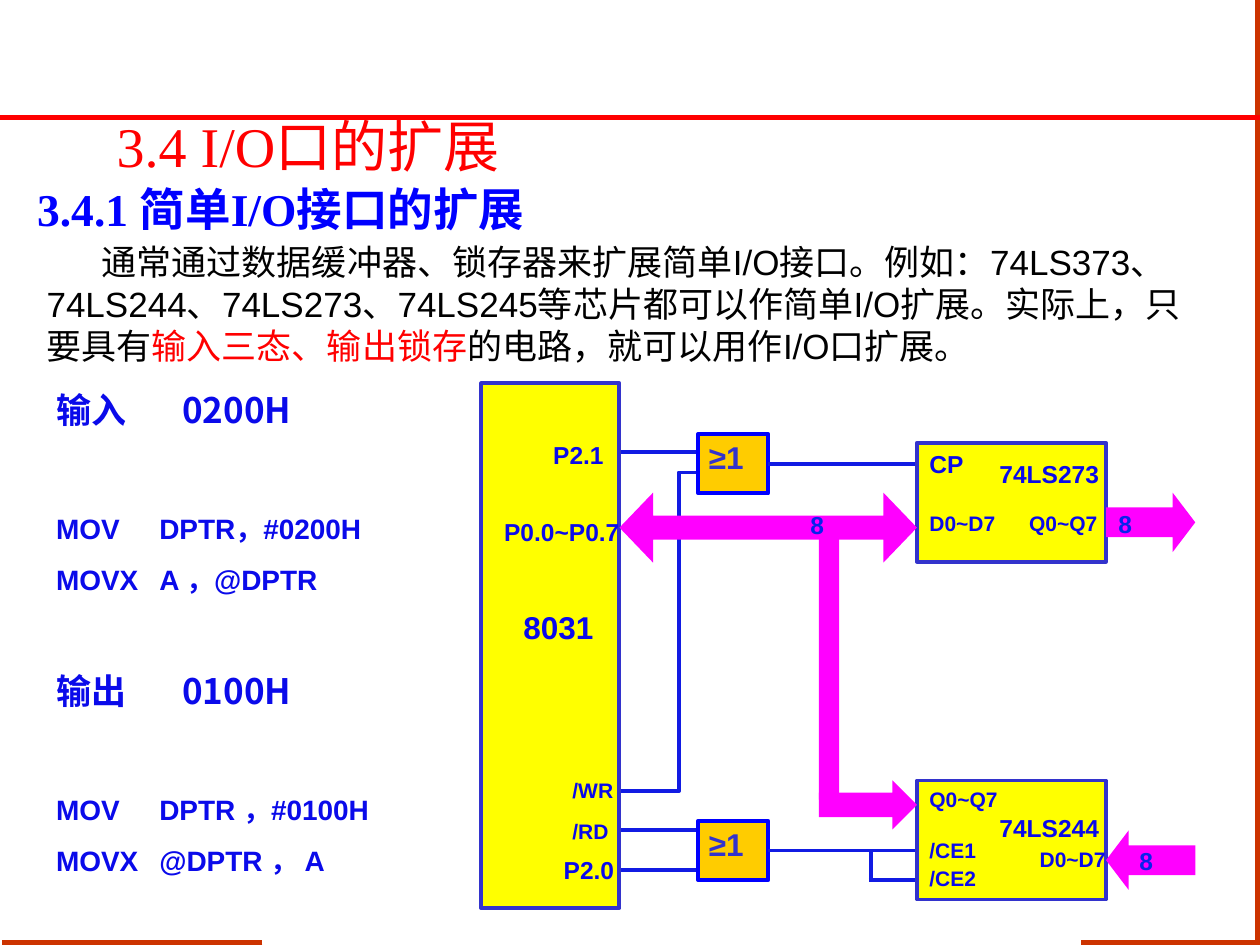
from dataclasses import dataclass

from lxml.etree import SubElement
from pptx import Presentation
from pptx.dml.color import RGBColor
from pptx.enum.shapes import MSO_CONNECTOR, MSO_SHAPE
from pptx.enum.text import MSO_ANCHOR, MSO_AUTO_SIZE, PP_ALIGN
from pptx.oxml.ns import qn
from pptx.util import Pt


@dataclass(frozen=True)
class Theme:
    red: str = "FF0000"
    rust: str = "CC3300"
    head: str = "0000FF"
    text: str = "000000"
    label: str = "0A0AEA"
    count: str = "0722ED"
    wire: str = "111BE3"
    edge: str = "3333CC"
    chip: str = "FFFF00"
    gate: str = "FFCC00"
    bus: str = "FF00FF"
    sans: str = "Arial"
    serif: str = "Times New Roman"
    cjk: str = "Noto Sans CJK SC"
    title: int = 32
    sub: int = 26
    body: int = 20
    code: int = 16
    name: int = 18
    pin: int = 14
    small: int = 12
    rule: float = 3
    thin: float = 2.25


T = Theme()


def rgb(color):
    return RGBColor.from_string(color)


def style(item, size, color, face=T.sans, bold=False):
    font = item.font
    font.size, font.name, font.bold = Pt(size), face, bold
    font.color.rgb = rgb(color)


def place(shape, box):
    shape.left, shape.top, shape.width, shape.height = map(Pt, box)


def line(slide, x1, y1, x2, y2, color=T.wire, width=T.thin):
    wire = slide.shapes.add_connector(
        MSO_CONNECTOR.STRAIGHT, Pt(x1), Pt(y1), Pt(x2), Pt(y2))
    wire.line.color.rgb = rgb(color)
    wire.line.width = Pt(width)
    SubElement(wire._element.spPr, qn("a:effectLst"))
    return wire


def solid(slide, kind, box, fill, edge=None):
    """Add a filled shape, outlined only when an edge colour is given."""
    shape = slide.shapes.add_shape(kind, *map(Pt, box))
    shape.shadow.inherit = False
    shape.fill.solid()
    shape.fill.fore_color.rgb = rgb(fill)
    if edge:
        shape.line.color.rgb = rgb(edge)
        shape.line.width = Pt(T.thin)
    else:
        shape.line.fill.background()
    return shape


def frame(slide, box):
    text = slide.shapes.add_textbox(*map(Pt, box)).text_frame
    text.word_wrap = True
    return text


def label(slide, x, y, width, text, size=T.pin, color=T.label):
    para = frame(slide, (x, y, width, size * 1.2 + 7)).paragraphs[0]
    para.text = text
    style(para, size, color, bold=True)


def holder(shape, box, text, size, color, bold=False):
    """Move a placeholder and give it one left-aligned, unbulleted line."""
    place(shape, box)
    text_frame = shape.text_frame
    text_frame.auto_size = MSO_AUTO_SIZE.NONE
    para = text_frame.paragraphs[0]
    para.text = text
    para.alignment = PP_ALIGN.LEFT
    para.space_before = Pt(0)
    props = para._p.get_or_add_pPr()
    props.set("marL", "0")
    props.set("indent", "0")
    SubElement(props, qn("a:buNone"))
    style(para, size, color, T.serif, bold)


def rules(slide, width, height):
    for ends, color in (
            ((150, height - 1.5, 1, height - 1.5), T.rust),
            ((width - 1.5, height, width - 1.5, 0), T.rust),
            ((width - 3, height - 1.5, 618, height - 1.5), T.rust),
            ((width, 67, 0, 67), T.red)):
        line(slide, *ends, color, T.rule)


def intro(slide, box):
    text = frame(slide, box)
    text.vertical_anchor = MSO_ANCHOR.MIDDLE
    para = text.paragraphs[0]
    props = para._p.get_or_add_pPr()
    props.set("indent", str(Pt(31.5)))
    props.set("hangingPunct", "0")
    for words, color in (
            ("通常通过数据缓冲器、锁存器来扩展简单I/O接口。例如：74LS373、74LS244、"
             "74LS273、74LS245等芯片都可以作简单I/O扩展。实际上，只要具有", T.text),
            ("输入三态、输出锁存", T.red),
            ("的电路，就可以用作I/O口扩展。", T.text)):
        run = para.add_run()
        run.text = words
        style(run, T.body, color)


def listing(slide, box):
    """Set the two port addresses, each with its code."""
    text = frame(slide, box)
    head, code = (T.body, T.cjk, 72), (T.code, T.sans, 59)
    rows = (
        ("输入\t0200H", 0, head),
        ("MOV\tDPTR，#0200H", 46.5, code),
        ("MOVX\tA ，@DPTR", 10, code),
        ("输出\t0100H", 41.5, head),
        ("MOV\tDPTR ，#0100H", 46.5, code),
        ("MOVX\t@DPTR ， A", 10, code))
    for i, (words, gap, (size, face, stop)) in enumerate(rows):
        para = text.add_paragraph() if i else text.paragraphs[0]
        para.text = words
        para.space_before = Pt(gap)
        tabs = SubElement(para._p.get_or_add_pPr(), qn("a:tabLst"))
        SubElement(tabs, qn("a:tab"), pos=str(Pt(stop)), algn="l")
        style(para, size, T.label, face, True)


def chip(slide, box, pins):
    """Draw a chip; pins are (text, x, y, width, size) from its corner."""
    solid(slide, MSO_SHAPE.RECTANGLE, box, T.chip, T.edge)
    for text, x, y, width, size in pins:
        label(slide, box[0] + x, box[1] + y, width, text, size)


def gate(slide, box):
    shape = solid(slide, MSO_SHAPE.RECTANGLE, box, T.gate, T.head)
    label(slide, box[0] - 1, box[1] - 1, box[2] + 4, "≥1", T.name, T.edge)
    return shape


def arrow(slide, kind, box, shaft, tip, turn=0):
    shape = solid(slide, kind, box, T.bus)
    shape.adjustments[0], shape.adjustments[1] = shaft, tip
    shape.rotation = turn


def circuit(slide, box):
    left, top, width, height = box
    side = left + 79                # right side of the processor
    port, port_w = left + 124, 40   # gates
    far, far_w = left + 249, 108    # latch and buffer
    turn = left + 113               # where the /WR wire rises
    out = far + far_w
    high, low = top + 34, top + 227

    path = slide.shapes.build_freeform(Pt(port), Pt(top + 51))
    path.add_line_segments(
        [(Pt(turn), Pt(top + 51)), (Pt(turn), Pt(top + 233)),
         (Pt(side), Pt(top + 233))], close=False)
    write = path.convert_to_shape()
    write.shadow.inherit = False
    write.fill.background()
    write.line.color.rgb = rgb(T.wire)
    write.line.width = Pt(T.thin)

    for y in (39.5, 255.5, 278):
        line(slide, side, top + y, port, top + y)
    for y in (29, 250):
        mid = top + y + 17
        shape = gate(slide, (port, top + y, port_w, 34))
        line(slide, port + port_w, mid, far, mid).begin_connect(shape, 3)
    fork = left + 222.5
    line(slide, fork - 1, top + 284, far, top + 284)
    line(slide, fork, top + 284, fork, top + 267)

    chip(slide, (left, top, 79, height), (
        ("P2.1", 34, 29, 63, T.pin), ("P0.0~P0.7", 6, 73, 96, T.pin),
        ("8031", 17, 125, 73, T.name), ("/WR", 45, 222, 51, T.small),
        ("/RD", 45, 245, 51, T.small), ("P2.0", 40, 266, 63, T.pin)))
    chip(slide, (far, high, far_w, 68), (
        ("CP", 0, 0, 45, T.pin), ("74LS273", 40, 6, 79, T.pin),
        ("D0~D7", 0, 35, 73, T.small), ("Q0~Q7", 57, 35, 73, T.small)))
    chip(slide, (far, low, far_w, 68), (
        ("Q0~Q7", 0, 0, 73, T.small), ("74LS244", 40, 15, 79, T.pin),
        ("/CE1", 0, 29, 51, T.small), ("/CE2", 0, 45, 51, T.small),
        ("D0~D7", 63, 34, 73, T.small)))

    stem = left + 193
    right = MSO_SHAPE.RIGHT_ARROW
    arrow(slide, MSO_SHAPE.LEFT_RIGHT_ARROW,
          (side, top + 62.5, far - side, 40), 0.34, 0.48)
    arrow(slide, right, (stem, low, far - stem, 28), 0.5, 0.5)
    solid(slide, MSO_SHAPE.RECTANGLE, (stem, top + 85, 11.5, 153), T.bus)
    arrow(slide, right, (out, top + 62.5, 51, 34), 0.5, 0.38)
    arrow(slide, right, (out, top + 255.5, 51, 34), 0.5, 0.38, 180)
    for x, y in ((181, 69), (357, 68.5), (369, 261)):
        label(slide, left + x, top + y, 26, "8", T.pin, T.count)


def main():
    deck = Presentation()
    deck.slide_width, deck.slide_height = Pt(720), Pt(540)
    slide = deck.slides.add_slide(deck.slide_layouts[1])
    title, body = slide.placeholders
    rules(slide, 720, 540)
    holder(title, (59.5, 72, 465, 22), "3.4 I/O口的扩展", T.title, T.red)
    title.text_frame.vertical_anchor = MSO_ANCHOR.MIDDLE
    holder(body, (14, 100, 692, 425), "3.4.1 简单I/O接口的扩展",
           T.sub, T.head, True)
    intro(slide, (19.5, 134, 675, 79))
    listing(slide, (25, 218.5, 199, 335))
    circuit(slide, (275, 219, 408, 300))
    deck.save("out.pptx")


if __name__ == "__main__":
    main()
